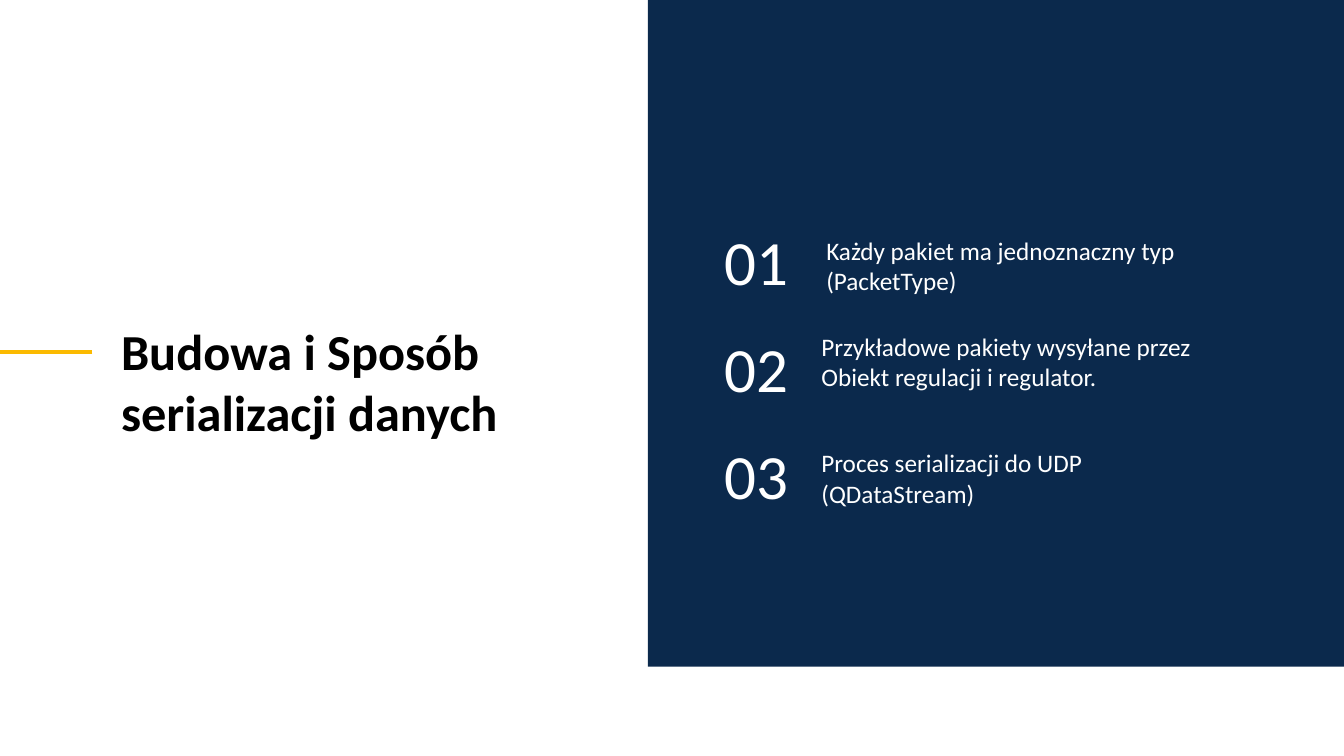
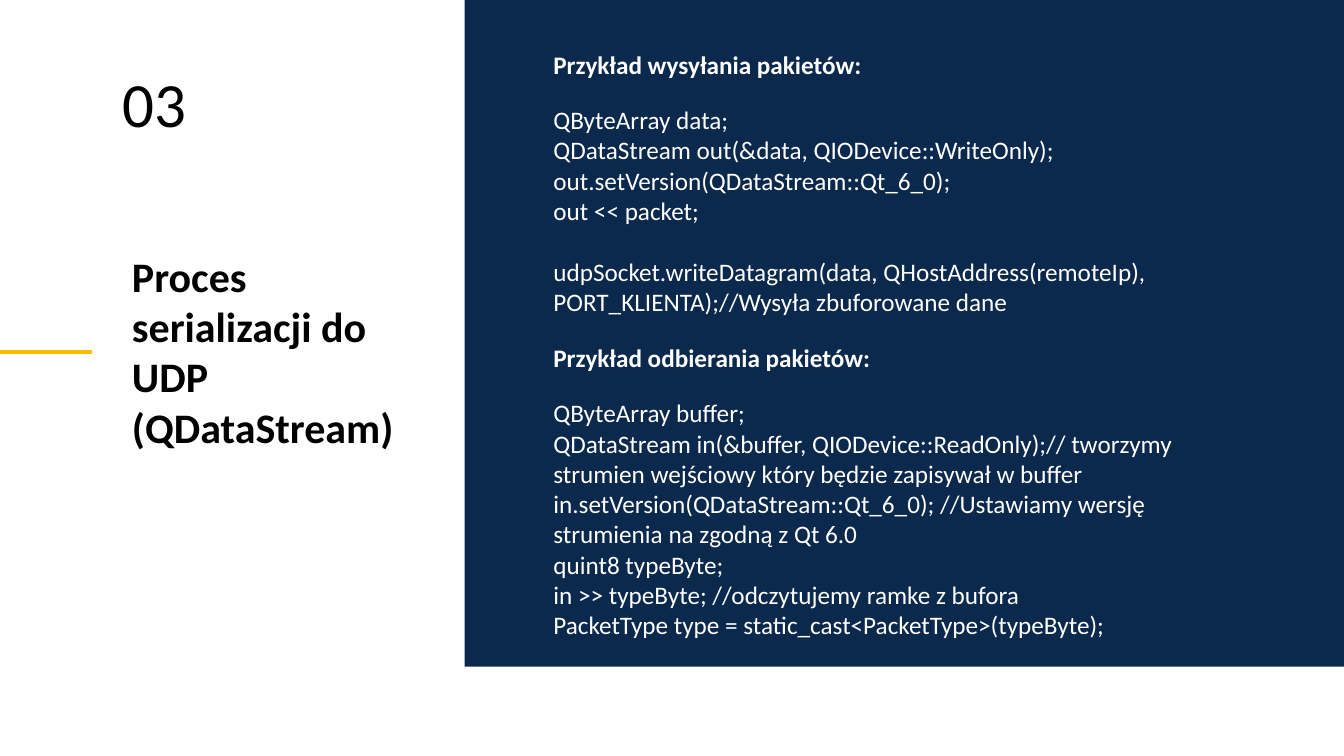
from dataclasses import dataclass

from lxml.etree import SubElement
from pptx import Presentation
from pptx.dml.color import RGBColor
from pptx.enum.shapes import MSO_CONNECTOR, MSO_SHAPE
from pptx.enum.text import MSO_ANCHOR, MSO_AUTO_SIZE, PP_ALIGN
from pptx.oxml.ns import qn
from pptx.util import Cm, Pt


@dataclass(frozen=True)
class Theme:
    font: str = "Calibri"
    navy: RGBColor = RGBColor(0x0B, 0x29, 0x4C)
    amber: RGBColor = RGBColor(0xFB, 0xBA, 0x00)
    black: RGBColor = RGBColor(0, 0, 0)
    white: RGBColor = RGBColor(0xFF, 0xFF, 0xFF)
    number_size: int = 90
    agenda_title_size: int = 72
    section_title_size: int = 60
    body_size: int = 36
    code_gap: int = 44
    accent_width: int = 6


@dataclass(frozen=True)
class Box:
    """Position and size in centimetres."""
    left: float
    top: float
    width: float
    height: float

    def lengths(self):
        return Cm(self.left), Cm(self.top), Cm(self.width), Cm(self.height)


@dataclass(frozen=True)
class AgendaItem:
    text: str
    box: Box
    padded: bool = False
    anchor: MSO_ANCHOR = MSO_ANCHOR.TOP


@dataclass(frozen=True)
class CodeSection:
    heading: str
    heading_top: float
    code_top: float
    code_height: float
    blocks: tuple[tuple[str, ...], ...]


THEME = Theme()
SLIDE_WIDTH, SLIDE_HEIGHT = 67.74, 38.1
PANEL_HEIGHT = 33.6
ACCENT_LENGTH, ACCENT_TOP = 4.65, 17.73
NUMBER_WIDTH, NUMBER_HEIGHT = 4.93, 3.84
NUMBER_LEFT, NUMBER_TOP, NUMBER_STEP = 36.5, 11.2, 5.41
CODE_LEFT, CODE_WIDTH, HEADING_HEIGHT = 27.64, 33.91, 1.8

AGENDA = (
    AgendaItem("Każdy pakiet ma jednoznaczny typ (PacketType)",
               Box(41.4, 11.71, 22.96, 3.33), padded=True, anchor=MSO_ANCHOR.MIDDLE),
    AgendaItem("Przykładowe pakiety wysyłane przez Obiekt regulacji i regulator.",
               Box(41.4, 16.69, 19.66, 3.07)),
    AgendaItem("Proces serializacji do UDP (QDataStream)",
               Box(41.4, 22.56, 19.66, 3.07)),
)

CODE_SECTIONS = (
    CodeSection("Przykład wysyłania pakietów:", 2.34, 5.13, 11.02, (
        ("QByteArray data;",
         "QDataStream out(&data, QIODevice::WriteOnly);",
         "out.setVersion(QDataStream::Qt_6_0);",
         "out << packet;"),
        ("udpSocket.writeDatagram(data, QHostAddress(remoteIp), "
         "PORT_KLIENTA);//Wysyła zbuforowane dane",),
    )),
    CodeSection("Przykład odbierania pakietów:", 17.12, 19.91, 12.57, (
        ("QByteArray buffer;",
         "QDataStream in(&buffer, QIODevice::ReadOnly);// tworzymy strumien "
         "wejściowy który będzie zapisywał w buffer",
         "in.setVersion(QDataStream::Qt_6_0); //Ustawiamy wersję strumienia "
         "na zgodną z Qt 6.0",
         "quint8 typeByte;",
         "in >> typeByte; //odczytujemy ramke z bufora",
         "PacketType type = static_cast<PacketType>(typeByte);"),
    )),
)


def write_text(shape, *blocks: tuple[str, ...], size: int = THEME.body_size,
               color: RGBColor = THEME.white, bold: bool = False,
               padded: bool = False, anchor: MSO_ANCHOR = MSO_ANCHOR.TOP) -> None:
    """Fill a shape with blocks of paragraphs, one line apart."""
    frame = shape.text_frame
    frame.word_wrap = True
    frame.auto_size = MSO_AUTO_SIZE.SHAPE_TO_FIT_TEXT
    frame.vertical_anchor = anchor
    frame.margin_left = frame.margin_right = Cm(0.25 if padded else 0)
    frame.margin_top = frame.margin_bottom = Cm(0.13 if padded else 0)
    lines = [(line, block_no > 0 and line_no == 0)
             for block_no, block in enumerate(blocks)
             for line_no, line in enumerate(block)]
    for line_no, (line, opens_block) in enumerate(lines):
        paragraph = frame.add_paragraph() if line_no else frame.paragraphs[0]
        paragraph.alignment = PP_ALIGN.LEFT
        paragraph.space_before = Pt(THEME.code_gap if opens_block else 0)
        properties = paragraph._p.get_or_add_pPr()
        properties.set("marL", "0")
        properties.set("indent", "0")
        SubElement(properties, qn("a:buNone"))
        run = paragraph.add_run()
        run.text = line
        run.font.name = THEME.font
        run.font.size = Pt(size)
        run.font.bold = bold
        run.font.color.rgb = color


def place(shape, box: Box):
    shape.left, shape.top, shape.width, shape.height = box.lengths()
    return shape


def add_number(slide, number: int, left: float, top: float, color: RGBColor) -> None:
    box = Box(left, top, NUMBER_WIDTH, NUMBER_HEIGHT)
    write_text(slide.shapes.add_textbox(*box.lengths()), (f"{number:02}",),
               size=THEME.number_size, color=color)


def add_base_slide(deck, layout_name: str, title: str, title_box: Box,
                   title_size: int, panel_left: float):
    """Add a slide with its navy panel, title and amber accent line."""
    slide = deck.slides.add_slide(deck.slide_layouts.get_by_name(layout_name))
    heading = place(slide.shapes.title, title_box)
    write_text(heading, (title,), size=title_size, color=THEME.black, bold=True)

    panel_box = Box(panel_left, 0, SLIDE_WIDTH - panel_left, PANEL_HEIGHT)
    panel = slide.shapes.add_shape(MSO_SHAPE.RECTANGLE, *panel_box.lengths())
    panel.shadow.inherit = False
    panel.fill.solid()
    panel.fill.fore_color.rgb = THEME.navy
    panel.line.fill.background()
    heading.element.addprevious(panel.element)  # behind the placeholders

    accent = slide.shapes.add_connector(
        MSO_CONNECTOR.STRAIGHT, Cm(ACCENT_LENGTH), Cm(ACCENT_TOP), Cm(0), Cm(ACCENT_TOP))
    accent.line.color.rgb = THEME.amber
    accent.line.width = Pt(THEME.accent_width)
    SubElement(accent.element.spPr, qn("a:effectLst"))
    return slide


def add_agenda_slide(deck) -> None:
    slide = add_base_slide(deck, "Title Only", "Budowa i Sposób serializacji danych",
                           Box(6.1, 16.15, 21.89, 6.15), THEME.agenda_title_size, 32.66)
    for index, item in enumerate(AGENDA):
        add_number(slide, index + 1, NUMBER_LEFT, NUMBER_TOP + index * NUMBER_STEP,
                   THEME.white)
        write_text(slide.shapes.add_textbox(*item.box.lengths()), (item.text,),
                   padded=item.padded, anchor=item.anchor)


def add_code_slide(deck) -> None:
    slide = add_base_slide(deck, "Comparison", AGENDA[2].text,
                           Box(6.65, 12.6, 14.76, 10.26), THEME.section_title_size, 23.42)
    add_number(slide, 3, 6.2, 3.25, THEME.black)
    bodies = [body for body in slide.placeholders if body.placeholder_format.idx > 0]
    for section, heading, code in zip(CODE_SECTIONS, bodies[::2], bodies[1::2]):
        place(heading, Box(CODE_LEFT, section.heading_top, CODE_WIDTH, HEADING_HEIGHT))
        write_text(heading, (section.heading,), bold=True, padded=True)
        place(code, Box(CODE_LEFT, section.code_top, CODE_WIDTH, section.code_height))
        write_text(code, *section.blocks, padded=True)


def main() -> None:
    deck = Presentation()
    deck.slide_width, deck.slide_height = Cm(SLIDE_WIDTH), Cm(SLIDE_HEIGHT)
    add_agenda_slide(deck)
    add_code_slide(deck)
    deck.save("out.pptx")


if __name__ == "__main__":
    main()
